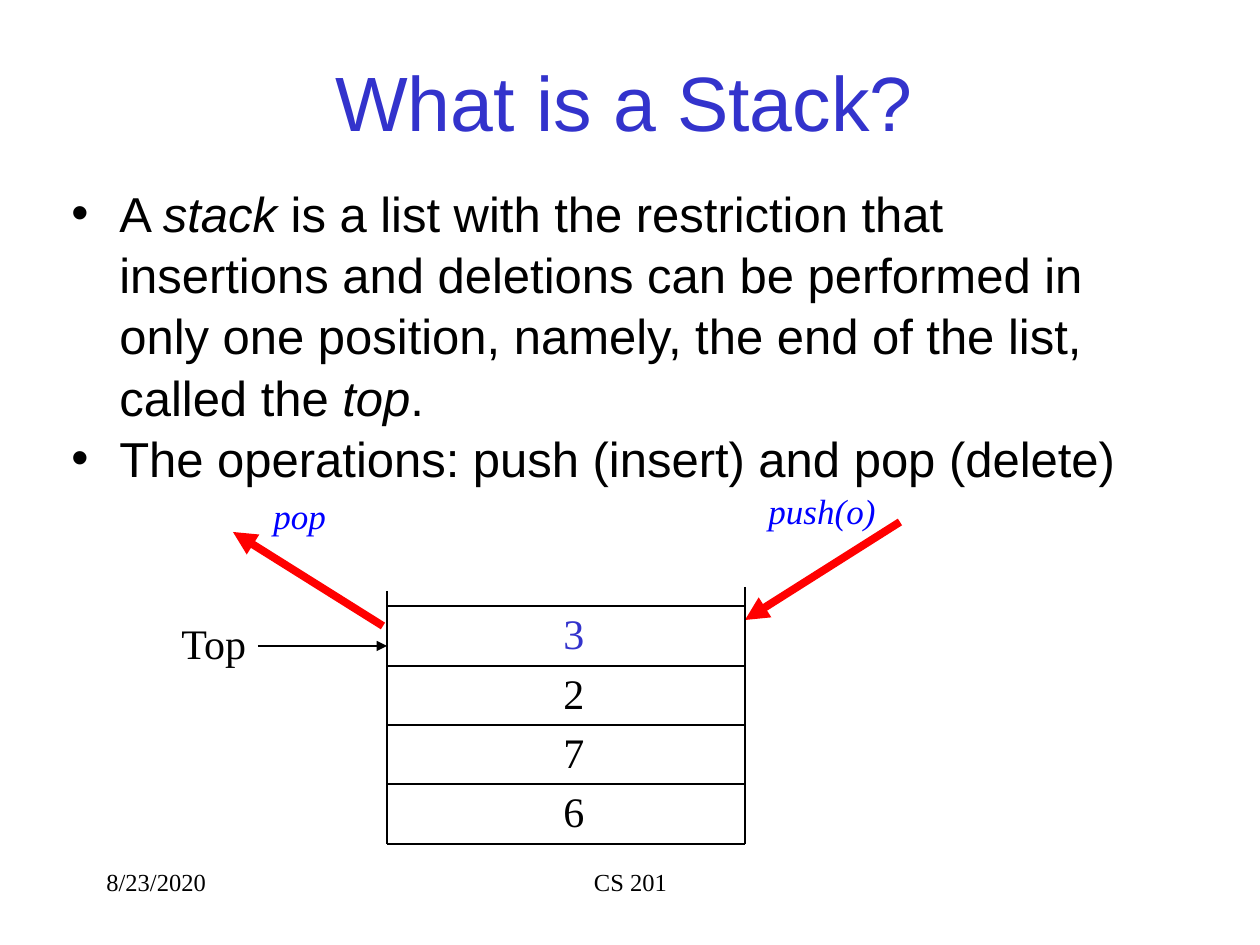
from dataclasses import dataclass

from lxml.etree import SubElement
from pptx import Presentation
from pptx.dml.color import RGBColor
from pptx.enum.shapes import MSO_CONNECTOR as Connector
from pptx.enum.text import MSO_ANCHOR as Anchor, PP_ALIGN as Align
from pptx.oxml.ns import qn
from pptx.util import Emu, Pt

SCALE = 914400 / 126
BLACK = RGBColor(0x00, 0x00, 0x00)
INDIGO = RGBColor(0x33, 0x33, 0xCC)
BLUE = RGBColor(0x00, 0x00, 0xFF)
RED = RGBColor(0xFF, 0x00, 0x00)
SANS = "Arial"
SERIF = "Times New Roman"

STACK_LEFT, STACK_RIGHT, STACK_BOTTOM = 387, 745, 844
CELL_HEIGHT = 59.5
BULLET_INDENT = 48


@dataclass(frozen=True)
class Line:
    start: tuple[int, int]
    end: tuple[int, int]
    color: RGBColor = BLACK
    width: float = 0.75
    arrow: bool = False


@dataclass(frozen=True)
class Label:
    text: str
    place: tuple[int, int, int, int]
    size: int
    color: RGBColor = BLACK
    italic: bool = False
    align: Align = Align.LEFT
    font: str = SERIF
    anchor: Anchor = Anchor.TOP
    wrap: bool = True


def px(value: float) -> Emu:
    return Emu(round(value * SCALE))


def add_box(page, place, *, anchor=Anchor.TOP, wrap=True):
    box = page.shapes.add_textbox(*map(px, place))
    box.text_frame.word_wrap = wrap
    box.text_frame.vertical_anchor = anchor
    return box


def add_span(para, text: str, *, font: str, size: int, color: RGBColor, italic: bool = False) -> None:
    span = para.add_run()
    span.text = text
    span.font.name = font
    span.font.size = Pt(size)
    span.font.color.rgb = color
    span.font.italic = italic


def add_label(page, label: Label) -> None:
    box = add_box(page, label.place, anchor=label.anchor, wrap=label.wrap)
    para = box.text_frame.paragraphs[0]
    para.alignment = label.align
    add_span(para, label.text, font=label.font, size=label.size,
             color=label.color, italic=label.italic)


def add_line(page, line: Line) -> None:
    connector = page.shapes.add_connector(
        Connector.STRAIGHT, *map(px, line.start + line.end))
    connector.line.color.rgb = line.color
    connector.line.width = Pt(line.width)
    if line.arrow:
        SubElement(connector.line._get_or_add_ln(), qn("a:tailEnd"), type="triangle")
    SubElement(connector._element.spPr, qn("a:effectLst"))


def add_bullets(page, place, bullets) -> None:
    frame = add_box(page, place).text_frame
    for index, spans in enumerate(bullets):
        para = frame.add_paragraph() if index else frame.paragraphs[0]
        para.line_spacing = 1.04
        properties = para._p.get_or_add_pPr()
        properties.set("marL", str(px(BULLET_INDENT)))
        properties.set("indent", str(-px(BULLET_INDENT)))
        SubElement(properties, qn("a:buFont"), typeface=SANS)
        SubElement(properties, qn("a:buChar"), char="•")
        for text, italic in spans:
            add_span(para, text, font=SANS, size=28, color=BLACK, italic=italic)


BULLETS = [
    [("A ", False), ("stack", True),
     (" is a list with the restriction that insertions and deletions can be "
      "performed in only one position, namely, the end of the list, called the ", False),
     ("top", True), (".", False)],
    [("The operations: push (insert) and pop (delete)", False)],
]

LABELS = [
    Label("8/23/2020", (94, 861, 262, 63), 14),
    Label("CS 201", (431, 861, 399, 63), 14, align=Align.CENTER),
    Label("What is a Stack?", (89, 35, 1071, 132), 44, INDIGO,
          align=Align.CENTER, font=SANS, anchor=Anchor.MIDDLE),
    Label("pop", (261, 488, 78, 54), 20, BLUE, italic=True, wrap=False),
    Label("push(o)", (756, 483, 132, 54), 20, BLUE, italic=True, wrap=False),
    Label("Top", (169, 611, 110, 63), 24),
]

LINES = [
    Line((383, 626), (233, 532), RED, 4.5, True),
    Line((900, 522), (745, 620), RED, 4.5, True),
    Line((258, 646), (STACK_LEFT, 646), arrow=True),
    Line((STACK_LEFT, 591), (STACK_LEFT, STACK_BOTTOM)),
    Line((STACK_LEFT, STACK_BOTTOM), (STACK_RIGHT, STACK_BOTTOM)),
    Line((STACK_RIGHT, 587), (STACK_RIGHT, STACK_BOTTOM)),
]

deck = Presentation()
deck.slide_width, deck.slide_height = px(1260), px(945)
page = deck.slides.add_slide(deck.slide_layouts[6])

add_bullets(page, (59, 175, 1106, 323), BULLETS)
for line in LINES:
    add_line(page, line)
for label in LABELS:
    add_label(page, label)
for level, value in enumerate("6723", start=1):
    top = round(STACK_BOTTOM - level * CELL_HEIGHT)
    add_line(page, Line((STACK_LEFT, top), (STACK_RIGHT, top)))
    add_label(page, Label(value, (551, top - 5, 115, 63), 24,
                          INDIGO if value == "3" else BLACK))

deck.save("out.pptx")
